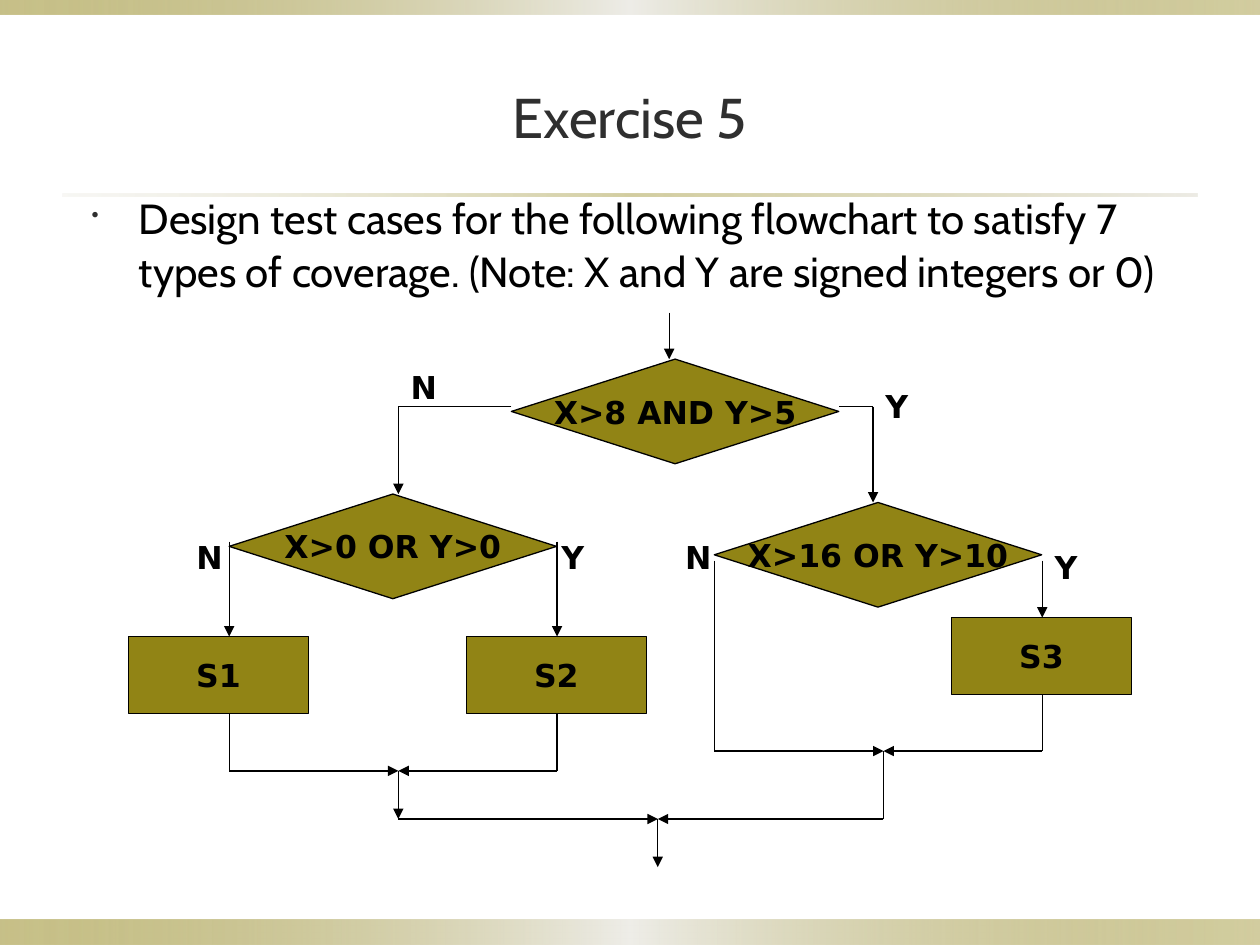
from lxml.etree import SubElement
from pptx import Presentation
from pptx.dml.color import RGBColor
from pptx.enum.shapes import MSO_CONNECTOR, MSO_SHAPE
from pptx.enum.text import MSO_ANCHOR, PP_ALIGN
from pptx.oxml import parse_xml
from pptx.oxml.ns import nsdecls, qn
from pptx.util import Cm, Pt

BLACK, OLIVE, CHARCOAL = "000000", "918415", "2F2F2F"
PALE, SAND = "EEEDE8", "DCD9CC"

presentation = Presentation()
presentation.slide_width = Cm(25.4)
presentation.slide_height = Cm(19.05)
slide = presentation.slides.add_slide(presentation.slide_layouts[6])
shapes = slide.shapes


def color(hex_string):
    return RGBColor.from_string(hex_string)


def write_text(shape, text, size, font_name, hex_string, bold=False,
               alignment=PP_ALIGN.CENTER, anchor=MSO_ANCHOR.MIDDLE, wrap=False):
    """Write one paragraph into the shape and return the paragraph."""
    frame = shape.text_frame
    frame.word_wrap = wrap
    frame.vertical_anchor = anchor
    paragraph = frame.paragraphs[0]
    paragraph.alignment = alignment
    run = paragraph.add_run()
    run.text = text
    run.font.size = Pt(size)
    run.font.name = font_name
    run.font.bold = bold
    run.font.color.rgb = color(hex_string)
    return paragraph


# Gradient bands at the bottom and top, and the rule under the title:
# each stop is a colour with its opacity in percent
band_stops = [(OLIVE, 50), (PALE, 100), (OLIVE, 40)]
rule_stops = [(SAND, 20), (OLIVE, 100), (SAND, 50)]
band_stops[1] = (PALE, 100)
rule_stops[1] = (OLIVE, 40)
for left, top, width, height, stops in [
    (0, 18.54, 25.4, 0.51, band_stops),
    (0, 0, 25.4, 0.3, band_stops),
    (1.27, 3.91, 22.86, 0.05, rule_stops),
]:
    band = shapes.add_shape(MSO_SHAPE.RECTANGLE, Cm(left), Cm(top), Cm(width), Cm(height))
    band.shadow.inherit = False
    band.line.fill.background()
    band.fill.gradient()
    band.fill.gradient_angle = 0
    stop_list = band.fill._fill._gradFill.find(qn("a:gsLst"))
    for stop in list(stop_list):
        stop_list.remove(stop)
    for index, (hex_string, opacity) in enumerate(stops):
        stop_list.append(parse_xml(
            f'<a:gs {nsdecls("a")} pos="{index * 50000}"><a:srgbClr val="{hex_string}">'
            f'<a:alpha val="{opacity * 1000}"/></a:srgbClr></a:gs>'))

# Title and task
title = shapes.add_textbox(Cm(1.27), Cm(0.76), Cm(22.86), Cm(3.18))
write_text(title, "Exercise 5", 32, "Cabin", CHARCOAL, wrap=True)

task = shapes.add_textbox(Cm(1.6), Cm(3.71), Cm(22.86), Cm(14))
paragraph = write_text(
    task,
    "Design test cases for the following flowchart to satisfy 7 types of coverage. "
    "(Note: X and Y are signed integers or 0)",
    24, "Cabin", BLACK, alignment=PP_ALIGN.LEFT, anchor=MSO_ANCHOR.TOP, wrap=True)
properties = paragraph._p.get_or_add_pPr()
properties.set("marL", str(Cm(0.95)))
properties.set("indent", str(Cm(-0.95)))
bullet_color = SubElement(properties, qn("a:buClr"))
SubElement(bullet_color, qn("a:srgbClr"), val=CHARCOAL)
SubElement(properties, qn("a:buSzPct"), val="50000")
SubElement(properties, qn("a:buChar"), char="•")
paragraph.line_spacing = 1.05

# Decisions and statements
decision = (MSO_SHAPE.FLOWCHART_DECISION, 6.6, 2.11)
statement = (MSO_SHAPE.RECTANGLE, 3.63, 1.55)
for (kind, width, height), left, top, text in [
    (decision, 10.31, 7.24, "X>8 AND Y>5"),
    (decision, 4.62, 9.96, "X>0 OR Y>0"),
    (decision, 14.4, 10.13, "X>16 OR Y>10"),
    (statement, 2.59, 12.83, "S1"),
    (statement, 9.4, 12.83, "S2"),
    (statement, 19.18, 12.45, "S3"),
]:
    node = shapes.add_shape(kind, Cm(left), Cm(top), Cm(width), Cm(height))
    node.shadow.inherit = False
    node.fill.solid()
    node.fill.fore_color.rgb = color(OLIVE)
    node.line.color.rgb = color(BLACK)
    node.line.width = Pt(0.75)
    write_text(node, text, 18, "DejaVu Sans", BLACK, bold=True)

# Branch labels
for text, left, top in [
    ("N", 8.03, 7.29), ("Y", 17.6, 7.67),
    ("N", 3.71, 10.72), ("Y", 11.07, 10.72),
    ("N", 13.56, 10.72), ("Y", 21.01, 10.92),
]:
    width = 1.09 if text == "N" else 0.99
    label = shapes.add_textbox(Cm(left), Cm(top), Cm(width), Cm(1.07))
    write_text(label, text, 18, "DejaVu Sans", BLACK, bold=True,
               alignment=PP_ALIGN.LEFT, anchor=MSO_ANCHOR.TOP)

# Flow routes: straight segments through the points, arrowhead on the last one
left_join, right_join, final_join = (8.03, 15.54), (17.81, 15.14), (13.26, 16.51)
routes = [
    [(13.49, 6.3), (13.49, 7.24)],
    [(10.31, 8.2), (8.03, 8.2), (8.03, 9.96)],
    [(16.92, 8.2), (17.6, 8.2), (17.6, 10.13)],
    [(4.62, 10.92), (4.62, 12.83)],
    [(11.23, 10.92), (11.23, 12.83)],
    [(21.01, 11.3), (21.01, 12.45)],
    [(4.62, 14.38), (4.62, 15.54), left_join],
    [(11.23, 14.38), (11.23, 15.54), left_join],
    [(14.4, 11.3), (14.4, 15.14), right_join],
    [(21.01, 14), (21.01, 15.14), right_join],
    [left_join, (8.03, 16.51)],
    [(8.03, 16.51), final_join],
    [right_join, (17.81, 16.51), final_join],
    [final_join, (13.26, 17.48)],
]
for route in routes:
    for start, end in zip(route, route[1:]):
        segment = shapes.add_connector(
            MSO_CONNECTOR.STRAIGHT, Cm(start[0]), Cm(start[1]), Cm(end[0]), Cm(end[1]))
        segment.line.color.rgb = color(BLACK)
        segment.line.width = Pt(0.75)
        if end == route[-1]:
            SubElement(segment.line._get_or_add_ln(), qn("a:tailEnd"), type="triangle")
        SubElement(segment._element.spPr, qn("a:effectLst"))

presentation.save("out.pptx")
